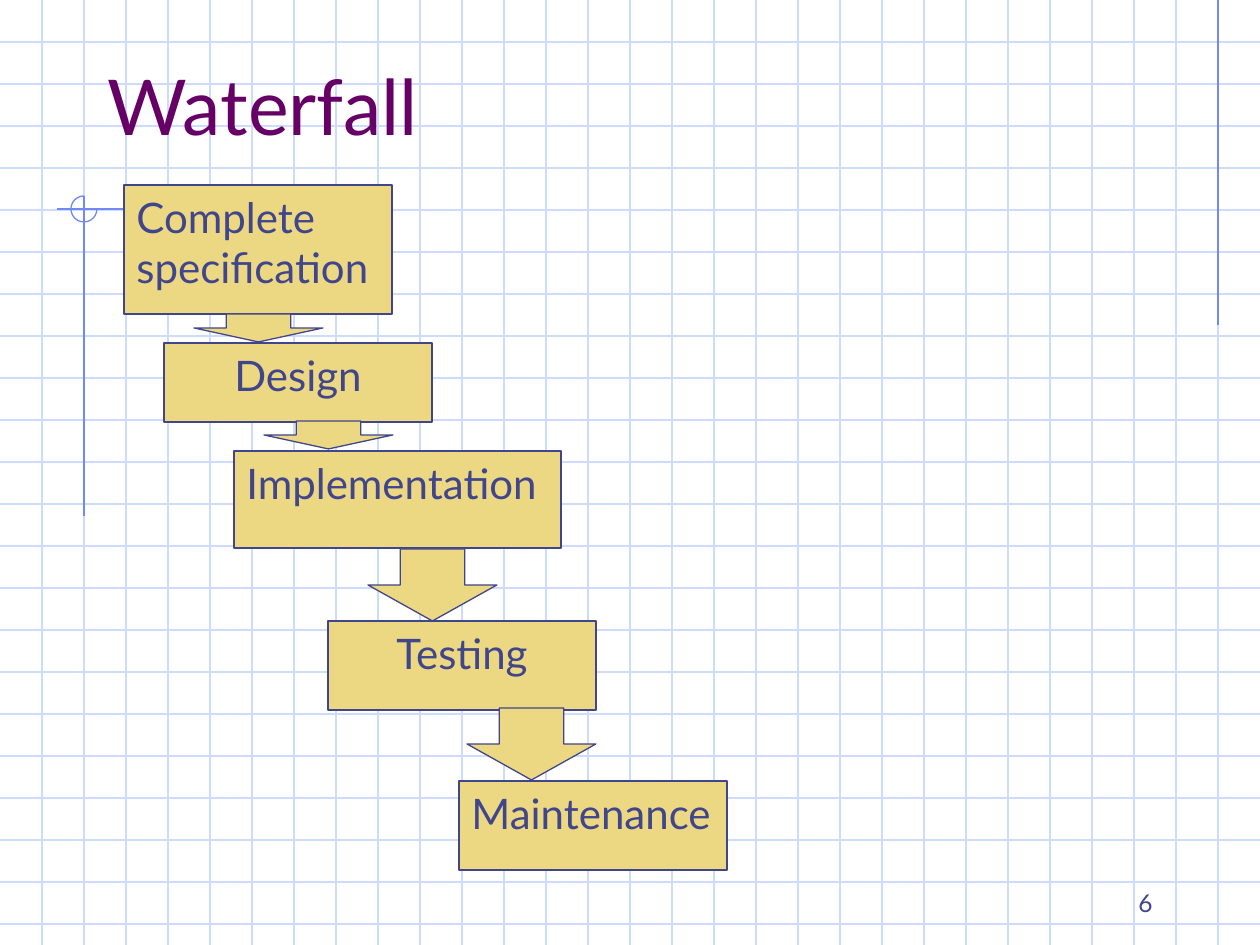
from lxml import etree
from pptx import Presentation
from pptx.dml.color import RGBColor
from pptx.enum.shapes import MSO_CONNECTOR as CONN, MSO_SHAPE as SHAPE
from pptx.enum.text import MSO_ANCHOR as ANCHOR, PP_ALIGN as ALIGN
from pptx.oxml.ns import qn
from pptx.util import Emu, Pt

COLORS = {"grid": "CFDBFD", "accent": "6F89F7", "title": "660066",
          "ink": "40458C", "box": "ECD882"}
FONT = "Lato"
SCALE = 914400 / 126
WIDTH, HEIGHT, CELL = 1260, 945, 42
LINE = 0.74


def px(n):
    """Turn pixels into EMU."""
    return Emu(round(n * SCALE))


def rgb(name):
    """Look up a named colour."""
    return RGBColor.from_string(COLORS[name])


def add_line(s, x1, y1, x2, y2, color):
    """Draw a thin straight line without a shadow."""
    c = s.shapes.add_connector(CONN.STRAIGHT, px(x1), px(y1), px(x2), px(y2))
    c.line.color.rgb = rgb(color)
    c.line.width = Pt(LINE)
    etree.SubElement(c._element.spPr, qn("a:effectLst"))


def add_preset(s, kind, box, fill=None, line="ink"):
    """Draw a preset shape in a box, unfilled unless a fill is named."""
    sp = s.shapes.add_shape(kind, *map(px, box))
    sp.shadow.inherit = False
    if fill:
        sp.fill.solid()
        sp.fill.fore_color.rgb = rgb(fill)
    else:
        sp.fill.background()
    sp.line.color.rgb = rgb(line)
    sp.line.width = Pt(LINE)
    return sp


def set_text(sp, text, size=24, color="ink", align=ALIGN.LEFT, anchor=ANCHOR.TOP):
    """Write text into a shape, one paragraph for each line."""
    tf = sp.text_frame
    tf.word_wrap = True
    tf.vertical_anchor = anchor
    for i, line in enumerate(text.split("\n")):
        p = tf.add_paragraph() if i else tf.paragraphs[0]
        p.alignment = align
        r = p.add_run()
        r.text = line
        r.font.name = FONT
        r.font.size = Pt(size)
        r.font.color.rgb = rgb(color)


def add_label(s, box, text, **fmt):
    """Place a bottom-anchored text box."""
    set_text(s.shapes.add_textbox(*map(px, box)), text, anchor=ANCHOR.BOTTOM, **fmt)


def draw_grid(s, width, height):
    """Rule the area into square cells."""
    for y in range(CELL, height, CELL):
        add_line(s, 0, y, width, y, "grid")
    for x in range(CELL, width - 1, CELL):
        add_line(s, x, 0, x, height, "grid")


def draw_corner_mark(s, x, y, radius):
    """Draw the crossing lines and three-quarter circle centred on x, y."""
    add_line(s, x + 218, y, x - 27, y, "accent")
    add_line(s, x, y - radius, x, y + 307, "accent")
    arc = add_preset(s, SHAPE.ARC, (x - radius, y - radius, 2 * radius, 2 * radius),
                     line="accent")
    arc.adjustments[0] = 0
    arc.adjustments[1] = 162  # 270 degrees


def draw_waterfall(s, x, y):
    """Draw the cascade of steps, then its arrows, from a top-left corner."""
    steps = [("Complete\nspecification", 0, 0, 268, 129, ALIGN.LEFT),
             ("Design", 40, 158, 268, 79, ALIGN.CENTER),
             ("Implementation", 110, 266, 327, 97, ALIGN.LEFT),
             ("Testing", 204, 436, 268, 89, ALIGN.CENTER),
             ("Maintenance", 335, 596, 268, 89, ALIGN.LEFT)]
    arrows = [(70, 129, 28), (140, 236, 28), (244, 364, 72), (343, 523, 72)]
    for text, dx, dy, w, h, align in steps:
        sp = add_preset(s, SHAPE.RECTANGLE, (x + dx, y + dy, w, h), "box")
        set_text(sp, text, align=align)
    for dx, dy, h in arrows:
        add_preset(s, SHAPE.DOWN_ARROW, (x + dx, y + dy, 129, h), "box")


def build_slide(prs):
    """Compose the whole slide."""
    s = prs.slides.add_slide(prs.slide_layouts[6])
    draw_grid(s, WIDTH, HEIGHT)
    add_line(s, 1218, 0, 1218, 325, "accent")
    draw_corner_mark(s, 84, 209, 13)
    add_label(s, (95, 0, 1071, 157), "Waterfall", size=44, color="title")
    add_label(s, (903, 861, 262, 63), "6", size=14, align=ALIGN.RIGHT)
    draw_waterfall(s, 124, 185)


prs = Presentation()
prs.slide_width, prs.slide_height = px(WIDTH), px(HEIGHT)
build_slide(prs)
prs.save("out.pptx")
